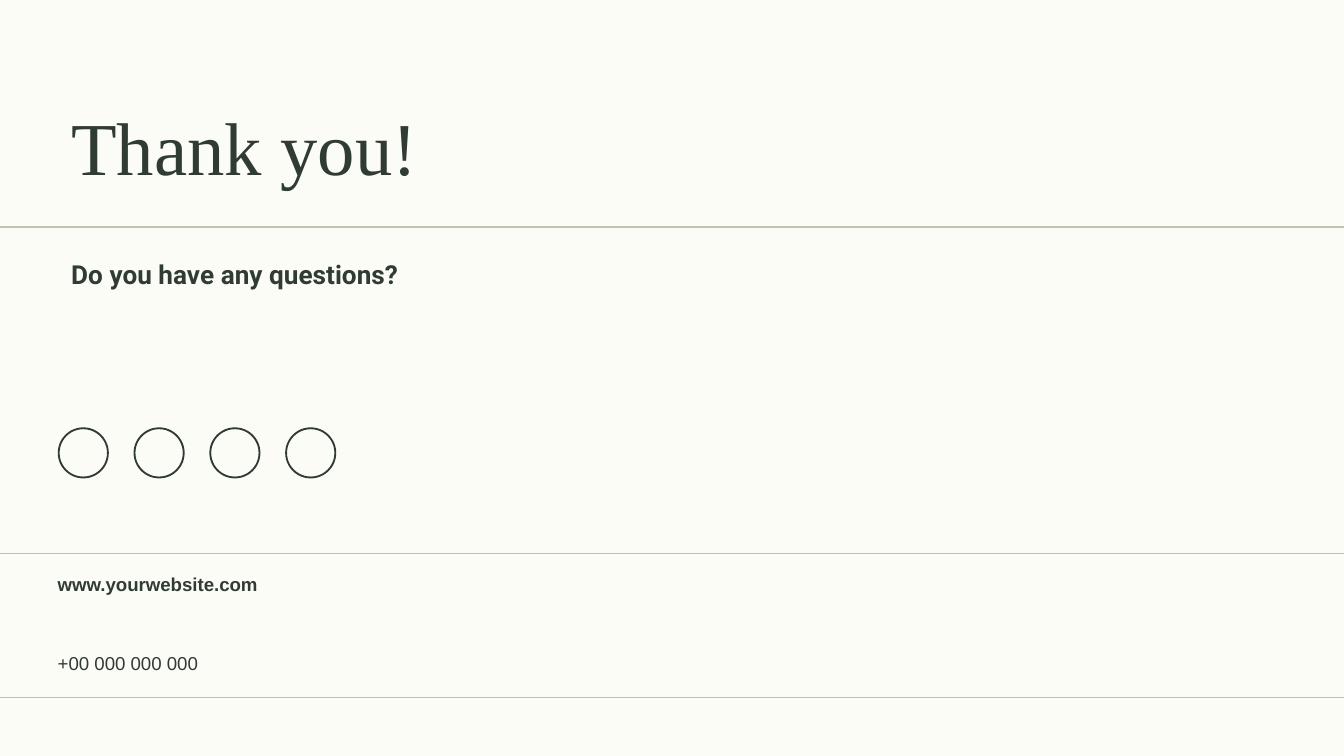
from pptx import Presentation
from pptx.dml.color import RGBColor
from pptx.enum.shapes import MSO_CONNECTOR, MSO_SHAPE
from pptx.enum.text import MSO_ANCHOR, MSO_AUTO_SIZE, PP_ALIGN
from pptx.oxml.ns import qn
from pptx.util import Inches, Pt

CREAM = RGBColor(0xFC, 0xFC, 0xF7)
SAGE = RGBColor(0xC1, 0xC2, 0xAF)
FOREST = RGBColor(0x30, 0x3B, 0x34)

COLUMNS = 100
LEFT = 4.3


class SlideBuilder:
    def __init__(self, prs):
        self.unit = prs.slide_width / COLUMNS
        self.slide = prs.slides.add_slide(prs.slide_layouts[0])
        fill = self.slide.background.fill
        fill.solid()
        fill.fore_color.rgb = CREAM

    def grid(self, *cells):
        return [round(cell * self.unit) for cell in cells]

    def rule(self, row):
        x1, x2, y = self.grid(0, COLUMNS, row)
        line = self.slide.shapes.add_connector(MSO_CONNECTOR.STRAIGHT, x1, y, x2, y)
        line.line.color.rgb = SAGE
        line.line.width = Pt(0.75)
        sp_pr = line._element.spPr
        sp_pr.append(sp_pr.makeelement(qn("a:effectLst"), {}))

    def set_text(self, sp, text, font, size, bold=False, inset=0, anchor=MSO_ANCHOR.TOP, before=0):
        tf = sp.text_frame
        tf.word_wrap = True
        tf.auto_size = MSO_AUTO_SIZE.NONE
        tf.vertical_anchor = anchor
        tf.margin_left = tf.margin_top = tf.margin_right = tf.margin_bottom = Inches(inset)
        p = tf.paragraphs[0]
        p.text = text
        p.alignment = PP_ALIGN.LEFT
        p.space_before = Pt(before)
        p.font.name = font
        p.font.size = Pt(size)
        p.font.bold = bold
        p.font.color.rgb = FOREST

    def placeholder(self, index, box, text, font, size, **style):
        sp = self.slide.placeholders[index]
        sp.left, sp.top, sp.width, sp.height = self.grid(*box)
        self.set_text(sp, text, font, size, inset=0.1, **style)

    def text(self, box, text, **style):
        sp = self.slide.shapes.add_textbox(*self.grid(*box))
        self.set_text(sp, text, "Arial", 10, **style)

    def ring(self, x, y, size):
        sp = self.slide.shapes.add_shape(MSO_SHAPE.OVAL, *self.grid(x, y, size, size))
        sp.shadow.inherit = False
        sp.fill.background()
        sp.line.color.rgb = FOREST
        sp.line.width = Pt(1)


def main():
    prs = Presentation()
    prs.slide_width, prs.slide_height = Inches(10), Inches(5.625)
    s = SlideBuilder(prs)

    for row in (16.9, 41.2, 51.9):
        s.rule(row)

    s.placeholder(0, (LEFT, 6.5, 48.6, 8.7), "Thank you!", "Times New Roman", 40,
                  anchor=MSO_ANCHOR.BOTTOM)
    s.placeholder(1, (LEFT, 18.2, 48.6, 11.6), "Do you have any questions?", "Roboto", 14,
                  bold=True)
    s.text((LEFT, 48.5, 42.7, 2.2), "+00 000 000 000")
    s.text((LEFT, 42.6, 42.7, 4.5), "www.yourwebsite.com", bold=True, before=3)

    for i in range(4):
        s.ring(LEFT + 0.07 + 5.64 * i, 31.87, 3.66)

    prs.save("out.pptx")


if __name__ == "__main__":
    main()
